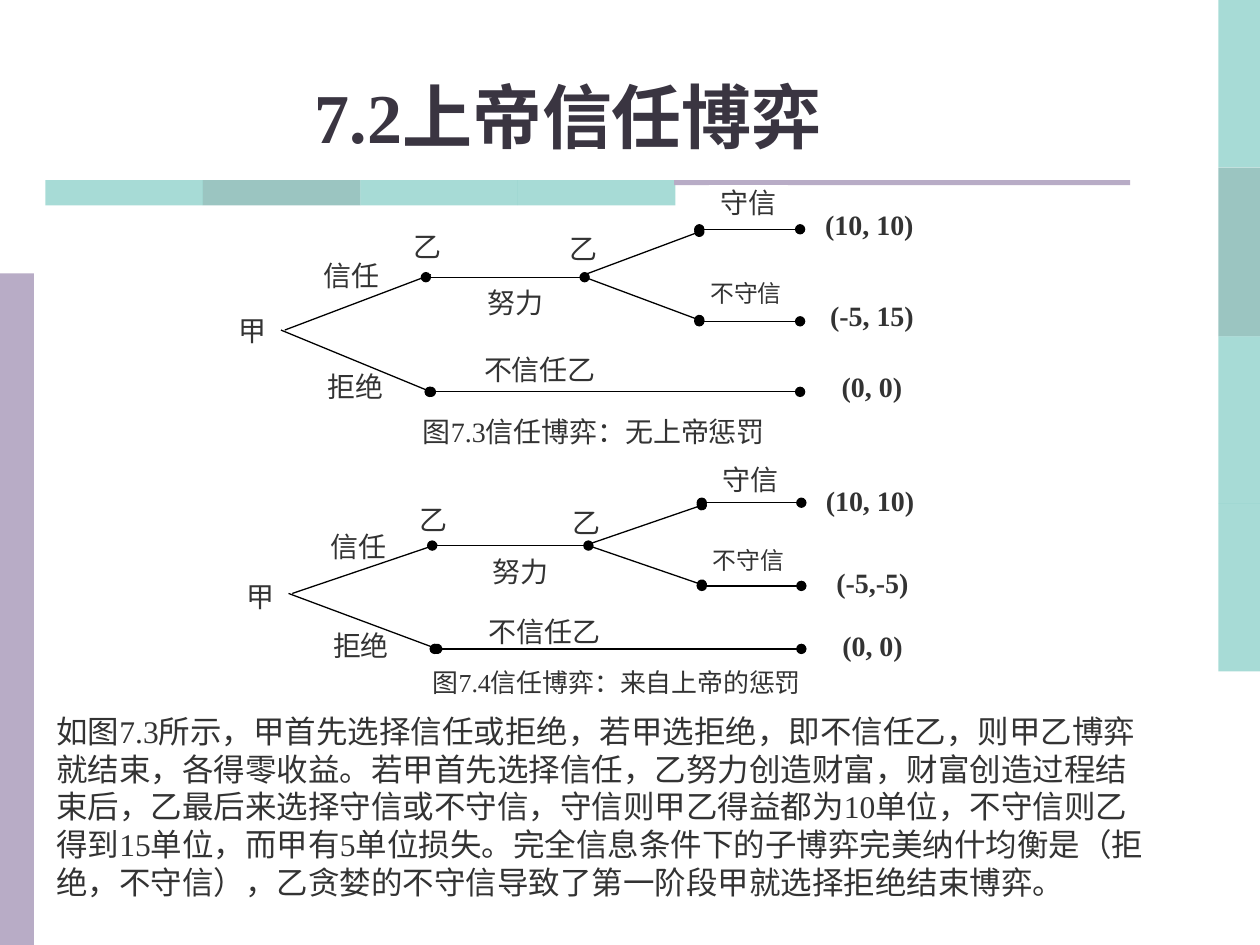
from lxml import etree
from pptx import Presentation
from pptx import util as u
from pptx.dml.color import RGBColor
from pptx.enum import shapes, text
from pptx.oxml.ns import qn

PX = 9144  # EMU per px, 100 px to the inch
TEAL = RGBColor(0x51, 0xB9, 0xAF)
DARK_TEAL = RGBColor(0x39, 0x8D, 0x85)
LILAC = RGBColor(0xB8, 0xAC, 0xC6)
WHITE = RGBColor(0xFF, 0xFF, 0xFF)
BLACK = RGBColor(0x00, 0x00, 0x00)
GREY = RGBColor(0x33, 0x33, 0x33)
TITLE_COLOR = RGBColor(0x3A, 0x35, 0x41)
LATIN, CJK = "Times New Roman", "Noto Sans CJK SC"

BODY = (
    "如图7.3所示，甲首先选择信任或拒绝，若甲选拒绝，即不信任乙，则甲乙博弈就结束，各得零收益。"
    "若甲首先选择信任，乙努力创造财富，财富创造过程结束后，乙最后来选择守信或不守信，"
    "守信则甲乙得益都为10单位，不守信则乙得到15单位，而甲有5单位损失。"
    "完全信息条件下的子博弈完美纳什均衡是（拒绝，不守信），"
    "乙贪婪的不守信导致了第一阶段甲就选择拒绝结束博弈。"
)

# Each tree: moves and payoffs as (text, left, top, width, height), caption, branches
TREES = [
    {
        "moves": [
            ("乙", 313, 182, 53, 36), ("甲", 171, 249, 59, 38),
            ("信任", 248, 205, 62, 34), ("拒绝", 251, 293, 62, 34),
            ("不信任乙", 378, 280, 101, 37), ("努力", 378, 227, 62, 34),
            ("乙", 434, 184, 58, 34), ("守信", 563, 147, 62, 34),
        ],
        "defect": ("不守信", 561, 224, 62, 34),
        "payoffs": [
            ("(10, 10)", 646, 165, 88, 36), ("(-5, 15)", 648, 237, 88, 36),
            ("(0, 0)", 648, 293, 88, 36),
        ],
        "caption": ("图7.3信任博弈：无上帝惩罚", 326, 329, 291, 36),
        "caption_style": (16, None),
        "branches": [
            (226, 262, 342, 218), (223, 262, 342, 311), (338, 220, 464, 220),
            (464, 218, 555, 184), (464, 220, 555, 254), (555, 182, 635, 182),
            (555, 255, 635, 255), (341, 311, 635, 311),
        ],
    },
    {
        "moves": [
            ("乙", 318, 399, 52, 32), ("甲", 177, 460, 59, 35),
            ("信任", 254, 420, 61, 31), ("拒绝", 256, 499, 61, 31),
            ("不信任乙", 382, 488, 100, 34), ("努力", 382, 440, 62, 31),
            ("乙", 437, 401, 57, 31), ("守信", 565, 367, 61, 31),
        ],
        "defect": ("不守信", 563, 436, 62, 31),
        "payoffs": [
            ("(10, 10)", 647, 384, 87, 33), ("(-5,-5)", 649, 449, 87, 33),
            ("(0, 0)", 649, 499, 87, 33),
        ],
        "caption": ("图7.4信任博弈：来自上帝的惩罚", 330, 532, 319, 32),
        "caption_style": (14.8, 0.9),
        "branches": [
            (232, 471, 347, 432), (229, 471, 347, 515), (343, 433, 467, 433),
            (467, 432, 557, 401), (467, 433, 557, 464), (557, 399, 636, 399),
            (557, 465, 636, 465), (345, 515, 636, 515),
        ],
    },
]


class SlideBuilder:
    """Draws styled elements on one slide, with lengths in px."""

    def __init__(self, slide):
        self.slide = slide

    def rect(self, left, top, width, height, color, alpha=None):
        shape = self.slide.shapes.add_shape(
            shapes.MSO_SHAPE.RECTANGLE, left * PX, top * PX, width * PX, height * PX)
        shape.shadow.inherit = False
        shape.fill.solid()
        shape.fill.fore_color.rgb = color
        shape.line.fill.background()
        if alpha is not None:
            fill_color = shape._element.spPr.find(qn("a:solidFill"))[0]
            etree.SubElement(fill_color, qn("a:alpha"), val=str(alpha * 1000))
        return shape

    def set_text(self, shape, words, size, color=GREY, font=LATIN, bold=False,
                 align=text.PP_ALIGN.CENTER, anchor=text.MSO_ANCHOR.TOP, spacing=None):
        frame = shape.text_frame
        frame.word_wrap = True
        frame.vertical_anchor = anchor
        frame.text = words
        paragraph = frame.paragraphs[0]
        paragraph.alignment = align
        if spacing:
            paragraph.line_spacing = spacing
        run = paragraph.runs[0]
        run.font.name = font
        run.font.size = u.Pt(size)
        run.font.bold = bold
        run.font.color.rgb = color
        run.font._element.find(qn("a:latin")).addnext(
            etree.Element(qn("a:ea"), typeface=CJK))

    def text_box(self, words, left, top, width, height, size, **style):
        box = self.slide.shapes.add_textbox(left * PX, top * PX, width * PX, height * PX)
        self.set_text(box, words, size, **style)
        return box

    def label(self, words, left, top, width, height, size=16, **style):
        shape = self.rect(left, top, width, height, WHITE)
        shape.line.color.rgb = WHITE
        shape.line.width = u.Pt(0.75)
        frame = shape.text_frame
        frame.margin_left = frame.margin_right = 0
        frame.margin_top = frame.margin_bottom = 0
        self.set_text(shape, words, size, **style)

    def branch(self, x1, y1, x2, y2, head, tail):
        line = self.slide.shapes.add_connector(
            shapes.MSO_CONNECTOR.STRAIGHT, x1 * PX, y1 * PX, x2 * PX, y2 * PX)
        line.line.color.rgb = BLACK
        line.line.width = u.Pt(0.75)
        outline = line._element.spPr.find(qn("a:ln"))
        for end, dotted in (("a:headEnd", head), ("a:tailEnd", tail)):
            if dotted:
                etree.SubElement(outline, qn(end), type="oval")
        etree.SubElement(line._element.spPr, qn("a:effectLst"))

    def tree(self, tree):
        for move in tree["moves"]:
            self.label(*move, font=CJK)
        self.label(*tree["defect"], size=13.6, font=CJK, spacing=0.9)
        for payoff in tree["payoffs"]:
            self.label(*payoff, bold=True)
        size, spacing = tree["caption_style"]
        self.label(*tree["caption"], size=size, spacing=spacing)
        # Level branches have a node at both ends; the first one has none
        for index, (x1, y1, x2, y2) in enumerate(tree["branches"]):
            self.branch(x1, y1, x2, y2, head=y1 == y2, tail=index > 0)


def main():
    presentation = Presentation()
    presentation.slide_width = 1000 * PX
    presentation.slide_height = 750 * PX
    builder = SlideBuilder(presentation.slides.add_slide(presentation.slide_layouts[6]))

    # Decorative bands: right edge, under the title, left edge
    for index, color in enumerate((TEAL, DARK_TEAL, TEAL, TEAL)):
        top, bottom = round(index * 400 / 3), round((index + 1) * 400 / 3)
        builder.rect(967, top, 33, bottom - top, color, alpha=50)
        builder.rect(36 + index * 125, 143, 125, 20, color, alpha=50)
    builder.rect(0, 217, 27, 533, LILAC)
    builder.rect(535, 143, 362, 4, LILAC)

    # Body text and title
    body = builder.text_box(BODY, 35, 560, 890, 160, 18, align=text.PP_ALIGN.LEFT)
    body.text_frame.auto_size = text.MSO_AUTO_SIZE.SHAPE_TO_FIT_TEXT
    builder.text_box("7.2上帝信任博弈", 0, 44, 902, 86, 40, color=TITLE_COLOR,
                     bold=True, anchor=text.MSO_ANCHOR.BOTTOM)

    # Game trees
    for tree in TREES:
        builder.tree(tree)

    presentation.save("out.pptx")


if __name__ == "__main__":
    main()
